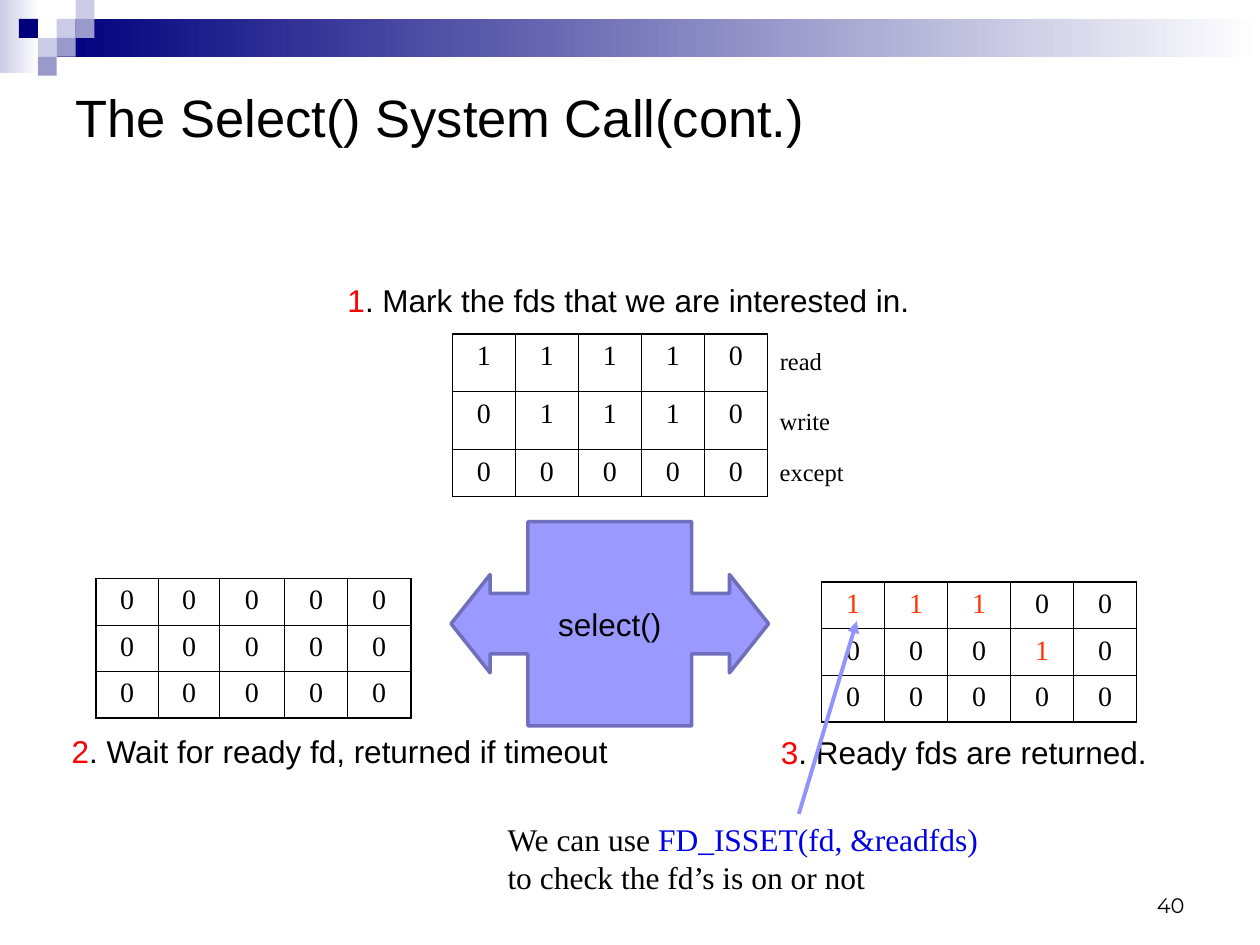
from lxml import etree
from pptx import Presentation
from pptx.dml.color import RGBColor
from pptx.enum.shapes import MSO_CONNECTOR, MSO_SHAPE
from pptx.enum.text import MSO_ANCHOR, PP_ALIGN
from pptx.oxml import parse_xml
from pptx.oxml.ns import nsdecls, qn
from pptx.util import Inches, Pt

RECT = MSO_SHAPE.RECTANGLE
STRAIGHT = MSO_CONNECTOR.STRAIGHT
TOP, MIDDLE, BOTTOM = MSO_ANCHOR.TOP, MSO_ANCHOR.MIDDLE, MSO_ANCHOR.BOTTOM
LEFT, CENTER, RIGHT = PP_ALIGN.LEFT, PP_ALIGN.CENTER, PP_ALIGN.RIGHT
SANS, SERIF, NUMBER = "Arial", "Times New Roman", "Montserrat"
BLACK, RED, MARK, CODE = "000000", "FF0000", "FF3300", "0000E5"
NAVY, PALE, MID, WHITE = "00007D", "CCCCE6", "9999CC", "FFFFFF"
THICK, THIN = 1.08, 0.45


def rgb(value):
    return RGBColor.from_string(value)


def fill_text(tf, runs, size, font, align=LEFT, anchor=TOP):
    tf.word_wrap = True
    tf.vertical_anchor = anchor
    p = tf.paragraphs[0]
    p.alignment = align
    for text, color in runs:
        r = p.add_run()
        r.text = text
        r.font.size = Pt(size)
        r.font.name = font
        r.font.color.rgb = rgb(color)


def add_text(s, box, runs, size, font, align=LEFT, anchor=TOP):
    sp = s.shapes.add_textbox(*map(Inches, box))
    fill_text(sp.text_frame, runs, size, font, align, anchor)


def add_rect(s, box, *colors):
    sp = s.shapes.add_shape(RECT, *map(Inches, box))
    sp.shadow.inherit = False
    sp.line.fill.background()
    if len(colors) == 1:
        sp.fill.solid()
        sp.fill.fore_color.rgb = rgb(colors[0])
    else:
        sp.fill.gradient()
        sp.fill.gradient_angle = 0
        for stop, color in zip(sp.fill.gradient_stops, colors):
            stop.color.rgb = rgb(color)


def add_header(s, x, y):
    add_rect(s, (x, y, 0.31, 0.58), PALE, WHITE)
    add_rect(s, (x + 0.45, y + 0.15, 9.55, 0.3), NAVY, WHITE)
    side = 0.15
    squares = [(3, 1, PALE), (4, 0, PALE), (4, 1, MID), (2, 2, PALE),
               (1, 1, NAVY), (3, 2, MID), (2, 3, MID)]
    for col, row, color in squares:
        add_rect(s, (x + col * side, y + row * side, side, side), color)


def set_borders(cell, widths):
    tcPr = cell._tc.get_or_add_tcPr()
    for i, (side, width) in enumerate(zip("LRTB", widths)):
        tcPr.insert(i, parse_xml(
            f'<a:ln{side} {nsdecls("a")} w="{Pt(width)}"><a:solidFill>'
            f'<a:srgbClr val="{BLACK}"/></a:solidFill></a:ln{side}>'))


def add_bits(s, x, y, rows, heights, widths=(0.5,) * 5, one_color=BLACK):
    box = x, y, sum(widths), sum(heights)
    table = s.shapes.add_table(len(rows), len(widths), *map(Inches, box)).table
    table.first_row = table.horz_banding = False
    for col, width in zip(table.columns, widths):
        col.width = Inches(width)
    last_row, last_col = len(rows) - 1, len(widths) - 1
    for i, (bits, height) in enumerate(zip(rows, heights)):
        table.rows[i].height = Inches(height)
        for j, bit in enumerate(bits):
            cell = table.cell(i, j)
            color = one_color if bit == "1" else BLACK
            fill_text(cell.text_frame, [(bit, color)], 16, SERIF, CENTER)
            cell.fill.background()
            edges = j == 0, j == last_col, i == 0, i == last_row
            set_borders(cell, [THICK if edge else THIN for edge in edges])


def add_step(s, box, number, text):
    add_text(s, box, [(number, RED), (text, BLACK)], 18, SANS)


def add_set_labels(s, x, y):
    for dy, width, name in [(0, 0.55, "read"), (0.47, 0.7, "write"), (0.88, 0.86, "except")]:
        add_text(s, (x, y + dy, width, 0.34), [(name, BLACK)], 14, SERIF)


def add_select_arrow(s, x, y, w, h):
    right = [(w - 0.61, 0), (w - 0.61, 0.57), (w - 0.31, 0.57), (w - 0.31, 0.42),
             (w, h / 2), (w - 0.31, h - 0.42), (w - 0.31, h - 0.57),
             (w - 0.61, h - 0.57), (w - 0.61, h)]
    left = [(w - px, py) for px, py in reversed(right)]
    points = [(Inches(x + px), Inches(y + py)) for px, py in right + left]
    builder = s.shapes.build_freeform(*points[0])
    builder.add_line_segments(points[1:], close=True)
    sp = builder.convert_to_shape()
    sp.shadow.inherit = False
    sp.fill.solid()
    sp.fill.fore_color.rgb = rgb("9999FF")
    sp.line.color.rgb = rgb("6F6FBC")
    sp.line.width = Pt(2)
    fill_text(sp.text_frame, [("select()", BLACK)], 18, SANS, CENTER, MIDDLE)


def add_pointer(s, *ends):
    line = s.shapes.add_connector(STRAIGHT, *map(Inches, ends))
    line.line.color.rgb = rgb("9393FC")
    line.line.width = Pt(2.25)
    etree.SubElement(line.line._get_or_add_ln(), qn("a:tailEnd"), type="triangle")
    etree.SubElement(line._element.spPr, qn("a:effectLst"))


def add_note(s, x, y):
    runs = [("We can use ", BLACK), ("FD_ISSET(fd, &readfds) ", CODE),
            ("to check the fd’s is on or not", BLACK)]
    add_text(s, (x, y, 4.04, 1.04), runs, 18, SERIF)


def main():
    prs = Presentation()
    prs.slide_width, prs.slide_height = Inches(10), Inches(7.5)
    s = prs.slides.add_slide(prs.slide_layouts[6])
    add_header(s, 0, 0)
    add_text(s, (7.17, 6.83, 2.33, 0.5), [("40", BLACK)], 12, NUMBER, RIGHT, BOTTOM)
    even = (0.37,) * 3
    add_bits(s, 3.59, 2.65, ["11110", "01110", "00000"], (0.46, 0.46, 0.37))
    add_bits(s, 0.76, 4.59, ["00000"] * 3, even, (0.5, 0.48, 0.52, 0.5, 0.5))
    add_bits(s, 6.52, 4.62, ["11100", "00010", "00000"], even, one_color=MARK)
    add_step(s, (2.66, 2.18, 5.23, 0.4), "1", ". Mark the fds that we are interested in.")
    add_step(s, (0.47, 5.76, 4.96, 0.4), "2", ". Wait for ready fd, returned if timeout")
    add_set_labels(s, 6.09, 2.7)
    add_select_arrow(s, 3.58, 4.14, 2.52, 1.62)
    add_step(s, (6.1, 5.77, 3.74, 0.4), "3", ". Ready fds are returned.")
    add_text(s, (0.5, 0.52, 9, 0.81), [("The Select() System Call(cont.)", BLACK)],
             30, SANS, anchor=MIDDLE)
    add_note(s, 3.93, 6.46)
    add_pointer(s, 6.34, 6.46, 6.8, 4.93)
    prs.save("out.pptx")


if __name__ == "__main__":
    main()
